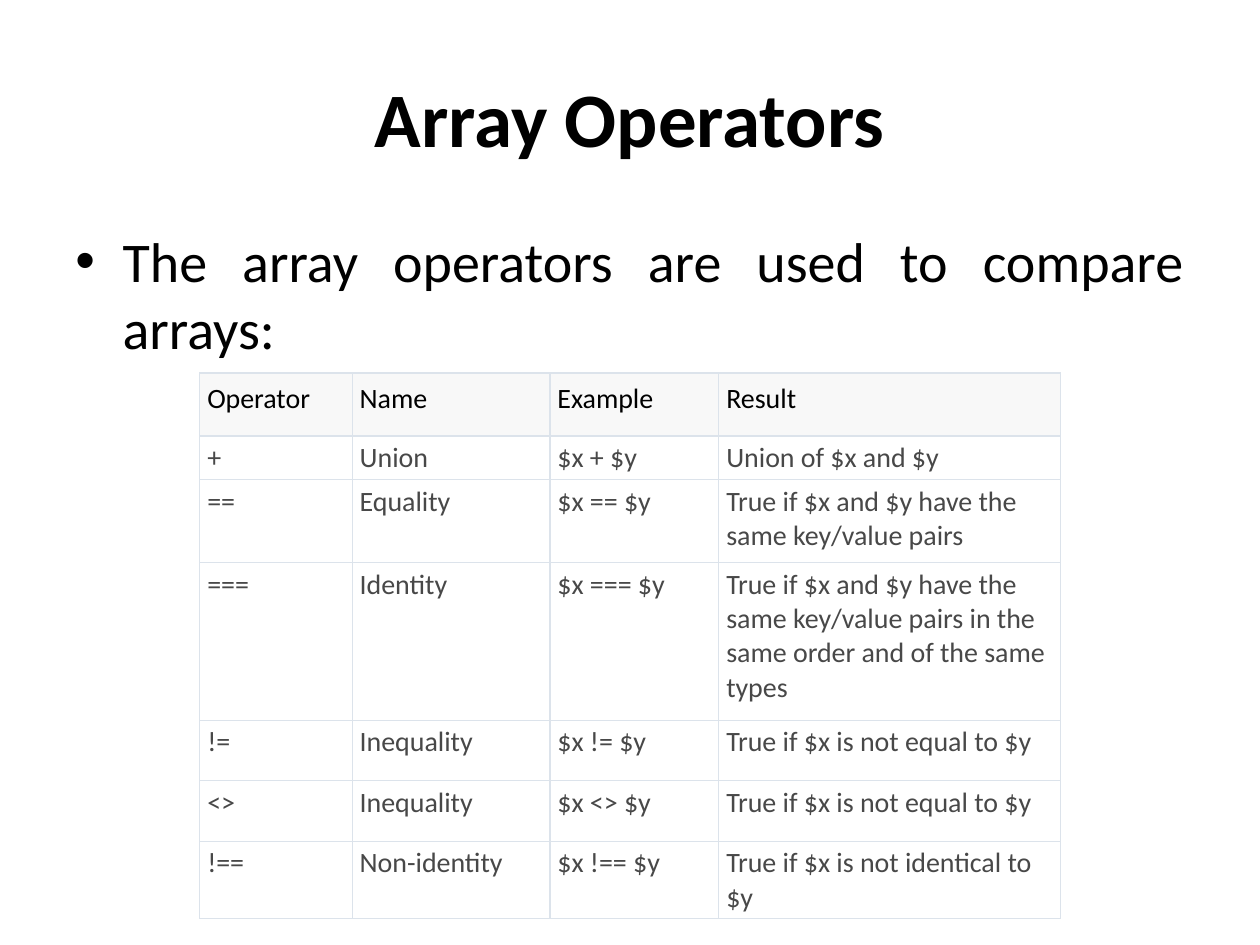
import pptx
import pptx.dml.color
import pptx.enum.text
import pptx.oxml
import pptx.oxml.ns
import pptx.util

# Content
TITLE = "Array Operators"
INTRO = "The array operators are used to compare arrays:"
OPERATORS = [
    ("Operator", "Name", "Example", "Result"),
    ("+", "Union", "$x + $y", "Union of $x and $y"),
    ("==", "Equality", "$x == $y", "True if $x and $y have the same key/value pairs"),
    ("===", "Identity", "$x === $y",
     "True if $x and $y have the same key/value pairs in the same order and of the same types"),
    ("!=", "Inequality", "$x != $y", "True if $x is not equal to $y"),
    ("<>", "Inequality", "$x <> $y", "True if $x is not equal to $y"),
    ("!==", "Non-identity", "$x !== $y", "True if $x is not identical to $y"),
]

# Style and grid, in inches
COLORS = {"text": "000000", "cell_text": "484848", "header": "F8F8F8",
          "cell": "FFFFFF", "border": "DCE3EB"}
FONT = "Calibri"
WIDTH, HEIGHT = 10, 7.5
MARGIN = WIDTH * 0.05
COLUMN_WIDTHS = [1.21, 1.57, 1.34, 2.71]
ROW_HEIGHTS = [0.5, 0.31, 0.66, 1.25, 0.48, 0.48, 0.54]
TABLE_TOP = 2.96
INDENT = 0.375
ALIGN = pptx.enum.text.PP_ALIGN
ANCHOR = pptx.enum.text.MSO_ANCHOR
inches = pptx.util.Inches


def rgb(name):
    return pptx.dml.color.RGBColor.from_string(COLORS[name])


def set_font(paragraph, size, color="text", bold=False):
    font = paragraph.font
    font.name, font.size, font.bold = FONT, pptx.util.Pt(size), bold
    font.color.rgb = rgb(color)


def add_text(slide, text, top, height, align, anchor):
    shape = slide.shapes.add_textbox(
        inches(MARGIN), inches(top), inches(WIDTH - 2 * MARGIN), inches(height))
    frame = shape.text_frame
    frame.word_wrap = True
    frame.vertical_anchor = anchor
    paragraph = frame.paragraphs[0]
    paragraph.text = text
    paragraph.alignment = align
    return paragraph


def add_bullet(paragraph):
    properties = paragraph._p.get_or_add_pPr()
    properties.set("marL", str(inches(INDENT)))
    properties.set("indent", str(-inches(INDENT)))
    namespace = pptx.oxml.ns.nsdecls("a")
    for element in ('buFont {} typeface="Arial"', 'buChar {} char="•"'):
        properties.append(pptx.oxml.parse_xml(f"<a:{element.format(namespace)}/>"))


def add_borders(cell):
    properties = cell._tc.get_or_add_tcPr()
    for index, side in enumerate("LRTB"):
        properties.insert(index, pptx.oxml.parse_xml(
            f'<a:ln{side} {pptx.oxml.ns.nsdecls("a")} w="{pptx.util.Pt(0.75)}">'
            f'<a:solidFill><a:srgbClr val="{COLORS["border"]}"/></a:solidFill></a:ln{side}>'))


def fill_cell(cell, text, is_header):
    cell.text = text
    cell.margin_left = cell.margin_right = inches(0.06)
    cell.margin_top = cell.margin_bottom = inches(0.07 if is_header else 0.04)
    cell.fill.solid()
    cell.fill.fore_color.rgb = rgb("header" if is_header else "cell")
    set_font(cell.text_frame.paragraphs[0], 16, "text" if is_header else "cell_text")
    add_borders(cell)


def add_operator_table(slide):
    width = sum(COLUMN_WIDTHS)
    table = slide.shapes.add_table(
        len(OPERATORS), len(COLUMN_WIDTHS), inches((WIDTH - width) / 2),
        inches(TABLE_TOP), inches(width), inches(sum(ROW_HEIGHTS))).table
    table.horz_banding = False
    for column, column_width in zip(table.columns, COLUMN_WIDTHS):
        column.width = inches(column_width)
    for row_index, (row, height) in enumerate(zip(table.rows, ROW_HEIGHTS)):
        row.height = inches(height)
        for cell, text in zip(row.cells, OPERATORS[row_index]):
            fill_cell(cell, text, row_index == 0)


def main():
    presentation = pptx.Presentation()
    presentation.slide_width, presentation.slide_height = inches(WIDTH), inches(HEIGHT)
    slide = presentation.slides.add_slide(presentation.slide_layouts[6])

    # Title
    title = add_text(slide, TITLE, HEIGHT * 0.04, 1.25, ALIGN.CENTER, ANCHOR.MIDDLE)
    set_font(title, 44, bold=True)

    # Bulleted introduction
    intro = add_text(slide, INTRO, 1.75, 4.95, ALIGN.JUSTIFY, ANCHOR.TOP)
    add_bullet(intro)
    set_font(intro, 32)

    # Operator table
    add_operator_table(slide)
    presentation.save("out.pptx")


if __name__ == "__main__":
    main()
